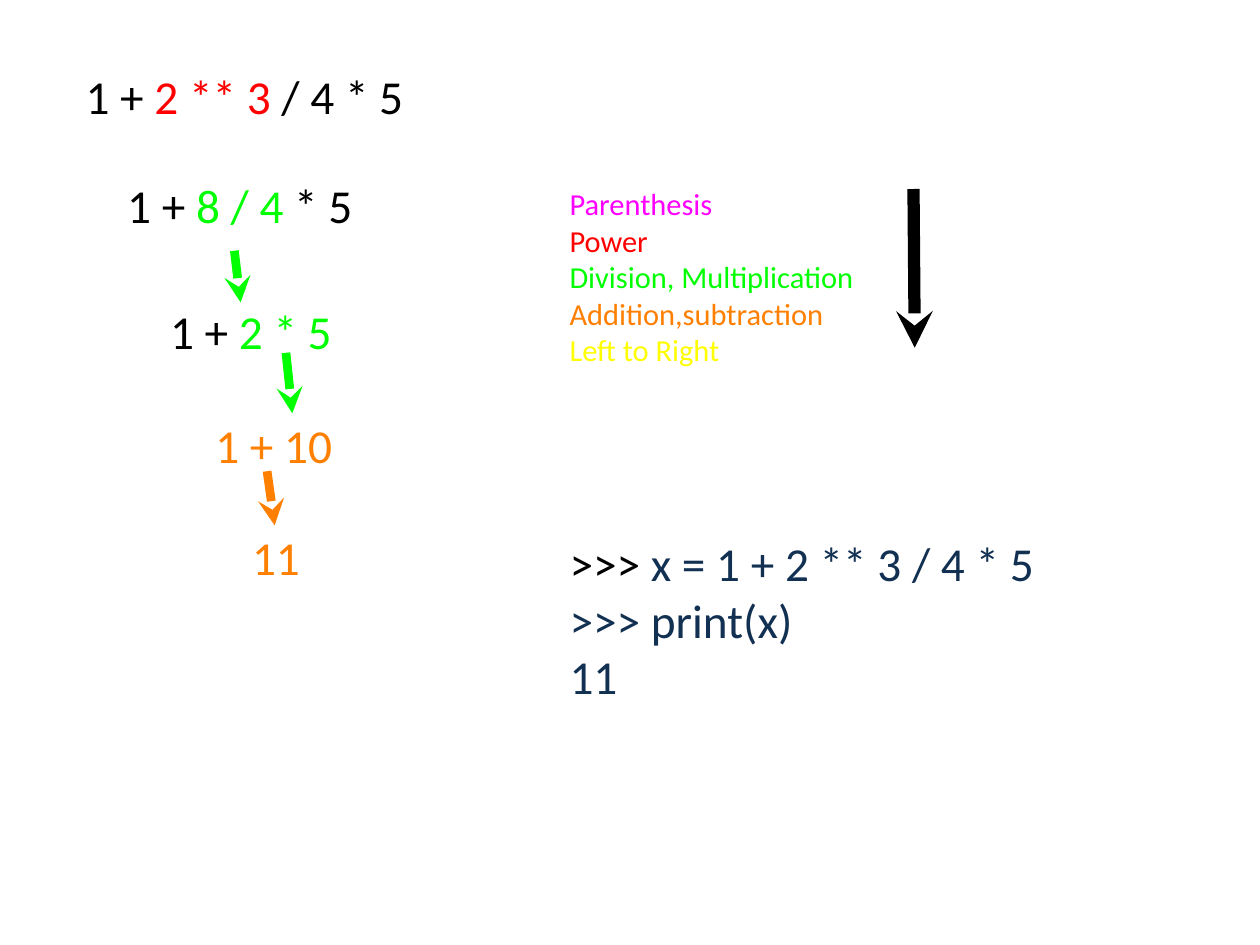
"""Build a slide that evaluates an expression step by step by operator precedence."""
import pptx
import pptx.util
import pptx.dml.color
import pptx.enum.shapes
import pptx.enum.text
import pptx.oxml

RGBColor = pptx.dml.color.RGBColor
BLACK = RGBColor(0, 0, 0)
RED = RGBColor(255, 0, 0)
GREEN = RGBColor(0, 255, 0)
ORANGE = RGBColor(255, 127, 0)
MAGENTA = RGBColor(255, 0, 255)
YELLOW = RGBColor(255, 255, 0)
NAVY = RGBColor(17, 48, 82)

FONT = "Calibri"
BIG, SMALL = 27, 17.4
COLS, ROWS = 100, 75
LINE_ROWS = 4.5

STEPS = [
    (6.8, 5.3, 27.6, True, [("1 + ", BLACK), ("2 ** 3", RED), (" / 4 * 5", BLACK)]),
    (10.1, 14, 18, False, [("1 + ", BLACK), ("8 / 4", GREEN), (" * 5", BLACK)]),
    (13.5, 24, 13, False, [("1 + ", BLACK), ("2 * 5", GREEN)]),
    (17.1, 33, 9.3, False, [("1 + 10", ORANGE)]),
    (20, 41.9, 6.5, True, [("11", ORANGE)]),
]
PRECEDENCE = [
    [("Parenthesis", MAGENTA)],
    [("Power", RED)],
    [("Division, Multiplication", GREEN)],
    [("Addition,subtraction", ORANGE)],
    [("Left to Right", YELLOW)],
]
SESSION = [
    [(">>> ", BLACK), ("x = 1 + 2 ** 3 / 4 * 5", NAVY)],
    [(">>> print(x)", NAVY)],
    [("11", NAVY)],
]
ARROWS = [
    ((18.6, 19.9), (19.1, 24), GREEN, 5),
    ((22.7, 28), (23.2, 32.8), GREEN, 5),
    ((21.2, 37.4), (21.8, 41.7), ORANGE, 5),
    ((72.5, 15), (72.6, 27.6), BLACK, 7),
]

prs = pptx.Presentation()
prs.slide_width = pptx.util.Inches(10)
prs.slide_height = pptx.util.Inches(7.5)
s = prs.slides.add_slide(prs.slide_layouts[6])


def x_at(col):
    """Return the horizontal length of a number of grid columns."""
    return round(prs.slide_width * col / COLS)


def y_at(row):
    """Return the vertical length of a number of grid rows."""
    return round(prs.slide_height * row / ROWS)


def add_text(col, row, cols, rows, lines, size, wrap=True):
    """Add a text box whose lines are lists of coloured runs."""
    sp = s.shapes.add_textbox(x_at(col), y_at(row), x_at(cols), y_at(rows))
    tf = sp.text_frame
    tf.margin_left = tf.margin_top = tf.margin_right = tf.margin_bottom = 0
    tf.word_wrap = wrap
    tf.auto_size = pptx.enum.text.MSO_AUTO_SIZE.SHAPE_TO_FIT_TEXT
    tf.vertical_anchor = pptx.enum.text.MSO_ANCHOR.MIDDLE
    for i, line in enumerate(lines):
        p = tf.add_paragraph() if i else tf.paragraphs[0]
        for text, color in line:
            r = p.add_run()
            r.text = text
            r.font.name = FONT
            r.font.size = pptx.util.Pt(size)
            r.font.color.rgb = color


def add_arrow(start, end, color, width):
    """Add a straight arrow that points at its end."""
    (x1, y1), (x2, y2) = start, end
    sp = s.shapes.add_connector(pptx.enum.shapes.MSO_CONNECTOR.STRAIGHT,
                                x_at(x1), y_at(y1), x_at(x2), y_at(y2))
    sp.line.color.rgb = color
    sp.line.width = pptx.util.Pt(width)
    ns = pptx.oxml.ns.nsdecls("a")
    sp.line._get_or_add_ln().append(
        pptx.oxml.parse_xml(f'<a:tailEnd {ns} type="stealth"/>'))
    sp._element.spPr.append(pptx.oxml.parse_xml(f"<a:effectLst {ns}/>"))


for col, row, cols, wrap, runs in STEPS:
    add_text(col, row, cols, LINE_ROWS, [runs], BIG, wrap)
add_text(45.2, 14.6, 29.8, 14.7, PRECEDENCE, SMALL)
add_text(45.2, 42.4, 42.9, LINE_ROWS * len(SESSION), SESSION, BIG)
for arrow in ARROWS:
    add_arrow(*arrow)

prs.save("out.pptx")
